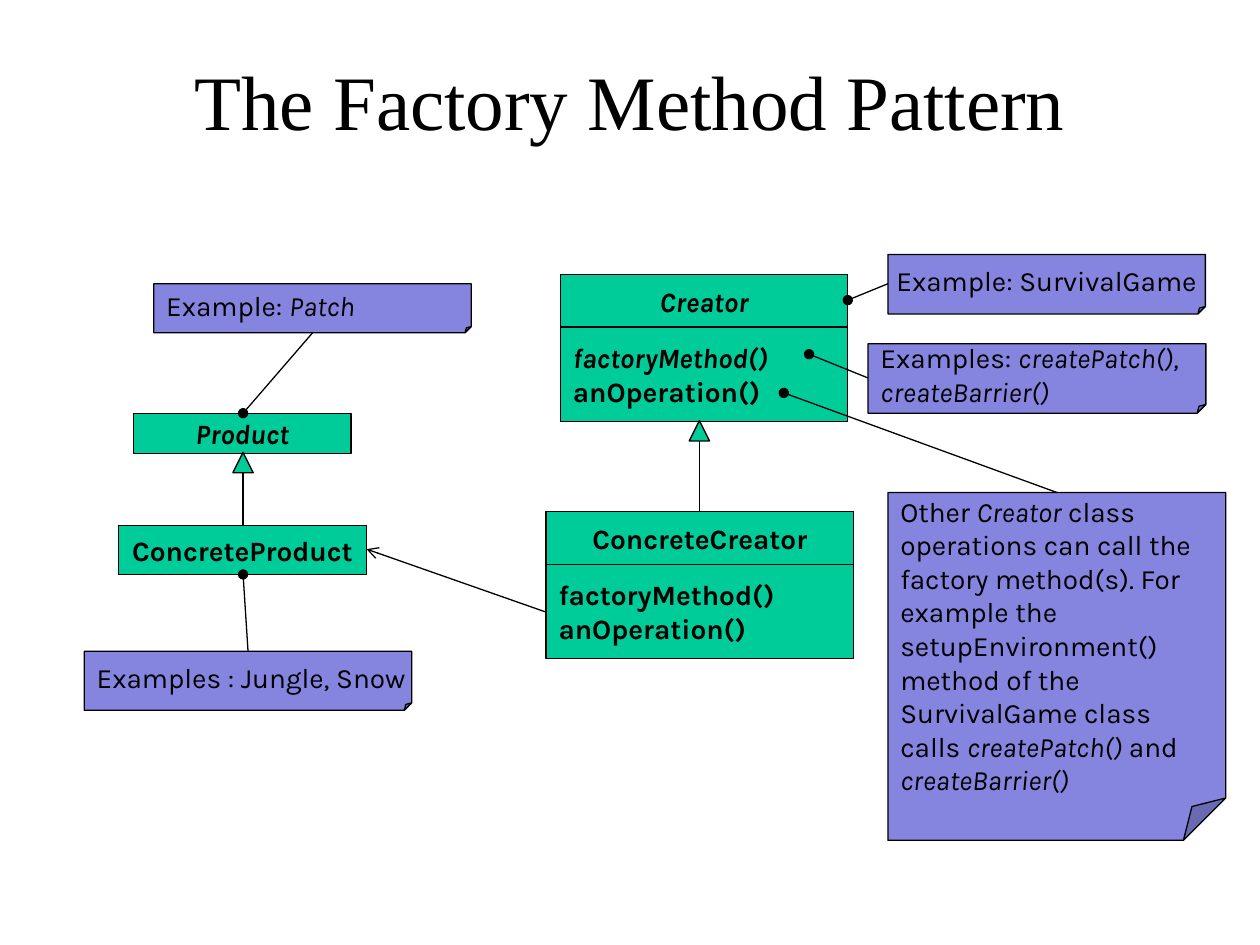
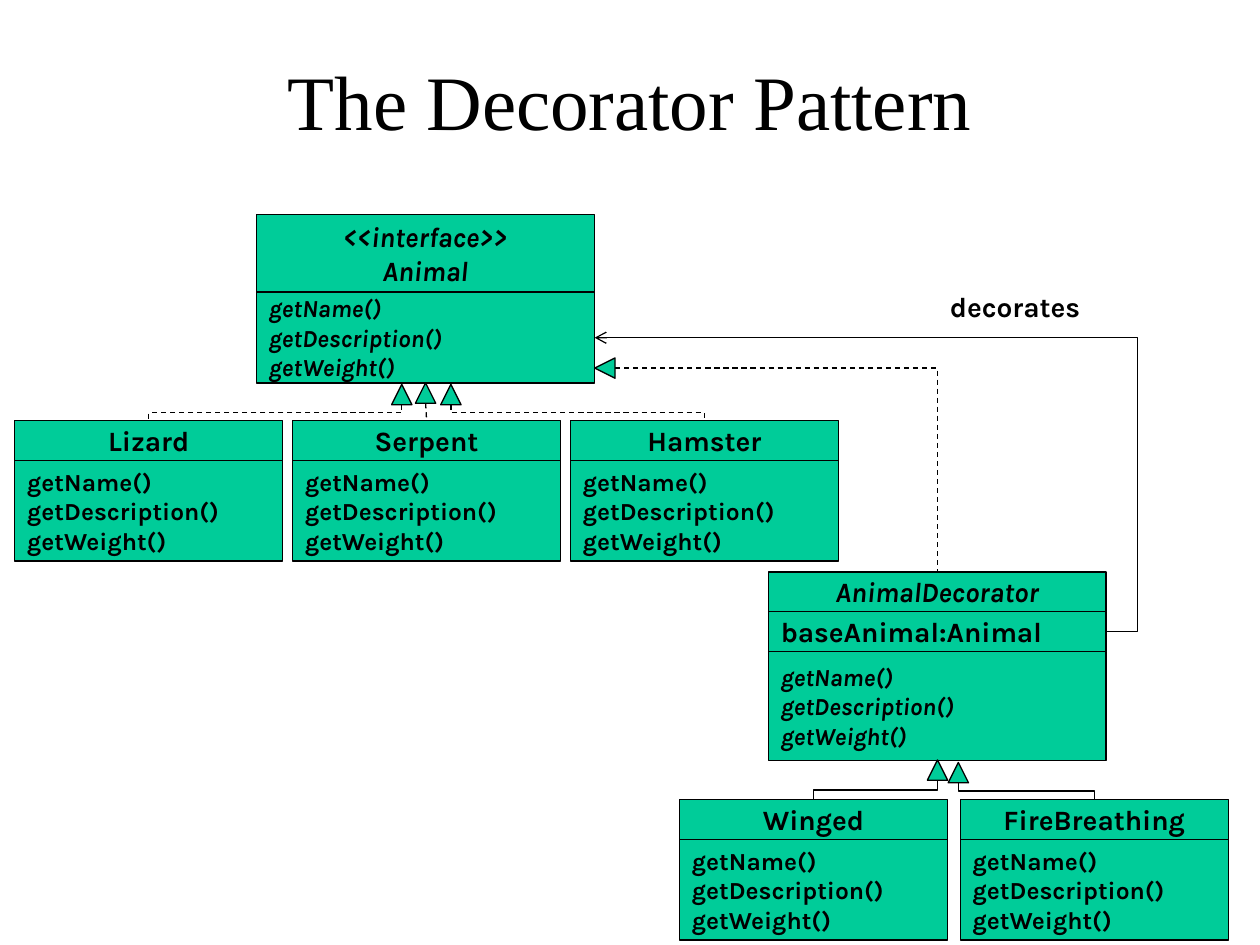
import pptx
import pptx.util
import pptx.dml.color
import pptx.enum.dml
import pptx.enum.shapes
import pptx.enum.text
import pptx.oxml
import pptx.oxml.ns

Cm = pptx.util.Cm
Pt = pptx.util.Pt
SHAPE = pptx.enum.shapes.MSO_SHAPE
CONNECTOR = pptx.enum.shapes.MSO_CONNECTOR
ALIGN = pptx.enum.text.PP_ALIGN
ANCHOR = pptx.enum.text.MSO_ANCHOR

BLACK = pptx.dml.color.RGBColor(0x00, 0x00, 0x00)
CLASS_GREEN = pptx.dml.color.RGBColor(0x00, 0xCC, 0x99)
NOTE_VIOLET = pptx.dml.color.RGBColor(0x85, 0x85, 0xE0)
TITLE_FONT, BODY_FONT = "Times New Roman", "Karla"
LINE_WIDTH = Pt(0.75)
TRIANGLE = 0.41

# Content: lengths in centimetres, *asterisks* mark italics
OPERATIONS = ["factoryMethod()", "anOperation()"]
GETTERS = ["getName()", "getDescription()", "getWeight()"]
ABSTRACT_GETTERS = [f"*{getter}*" for getter in GETTERS]

# Class: left, top, width, compartments of (height, text size, lines)
FACTORY_CLASSES = [
    (11.3, 5.54, 5.79, [(1.05, 16, ["*Creator*"]),
                        (1.91, 16, ["*factoryMethod()*", "anOperation()"])]),
    (11.01, 10.31, 6.2, [(1.07, 16, ["ConcreteCreator"]), (1.9, 16, OPERATIONS)]),
    (2.69, 8.33, 4.39, [(0.81, 16, ["*Product*"])]),
    (2.39, 10.59, 5.0, [(0.99, 16, ["ConcreteProduct"])]),
]
# Inheritance: apex of the triangle, top of the subclass
FACTORY_INHERITANCE = [((4.9, 9.12), (4.9, 10.59)), ((14.1, 8.48), (14.1, 10.31))]
CREATES_ARROW = ((11.01, 12.34), (7.39, 11.07))

# Note: box, alignment, wrap, lines, dot on the class, end of the line at the note
FACTORY_NOTES = [
    ((17.9, 5.13, 6.4, 1.2), ALIGN.CENTER, False, ["Example: SurvivalGame"],
     (17.09, 6.05), (17.9, 5.72)),
    ((17.5, 6.93, 6.81, 1.4), ALIGN.LEFT, False,
     ["Examples: *createPatch(),*", "*createBarrier()*"], (16.31, 7.14), (17.5, 7.62)),
    ((17.9, 9.93, 6.81, 7.01), ALIGN.LEFT, True,
     ["Other *Creator* class operations can call the factory method(s). For example the "
      "setupEnvironment() method of the SurvivalGame class calls *createPatch()* and "
      "*createBarrier()*"], (15.8, 7.92), (21.31, 9.93)),
    ((3.1, 5.72, 6.4, 0.99), ALIGN.LEFT, False, ["Example: *Patch*"],
     (4.9, 8.33), (6.3, 6.71)),
    ((1.7, 13.13, 6.6, 1.19), ALIGN.LEFT, False, ["Examples : Jungle, Snow"],
     (4.9, 11.58), (5.0, 13.13)),
]

DECORATOR_CLASSES = [
    (5.17, 4.32, 6.81, [(1.57, 16, ["*<<interface>>*", "*Animal*"]),
                        (1.83, 14, ABSTRACT_GETTERS)]),
    (15.49, 11.53, 6.81, [(0.8, 16, ["*AnimalDecorator*"]),
                          (0.8, 16, ["baseAnimal:Animal"]),
                          (2.2, 14, ABSTRACT_GETTERS)]),
]
# Row of subclasses: left, top, pitch, dashed, pairs of name and triangle apex
SUBCLASS_WIDTH = 5.4
SUBCLASS_ROWS = [
    (0.3, 8.48, 5.6, True, [("Lizard", (8.1, 7.75)), ("Serpent", (8.58, 7.72)),
                            ("Hamster", (9.09, 7.75))]),
    (13.7, 16.12, 5.66, False, [("Winged", (18.9, 15.32)),
                                ("FireBreathing", (19.32, 15.37))]),
]
DECORATES_ARROW = ((22.3, 12.73), (11.99, 6.81))
DECORATES_LABEL = ("decorates", (18.9, 5.72, 3.81, 0.94))
DECORATOR_TIP = (11.99, 7.42)
DECORATOR_TOP = (18.9, 11.53)


# Text
def write(frame, lines, size, align, bold=False, wrap=False):
    frame.word_wrap = wrap
    for index, line in enumerate(lines):
        para = frame.paragraphs[0] if index == 0 else frame.add_paragraph()
        para.alignment = align
        font = para.font
        font.name, font.size, font.bold = BODY_FONT, Pt(size), bold
        font.color.rgb = BLACK
        spans = [(text, place % 2 == 1)
                 for place, text in enumerate(line.split("*")) if text]
        if len(spans) == 1:
            font.italic = spans[0][1]
        for text, italic in spans:
            span = para.add_run()
            span.text = text
            if len(spans) > 1:
                span.font.italic = italic


# Shapes
def add_box(page, kind, box, fill):
    shape = page.shapes.add_shape(kind, *map(Cm, box))
    shape.shadow.inherit = False
    shape.fill.solid()
    shape.fill.fore_color.rgb = fill
    shape.line.color.rgb = BLACK
    shape.line.width = LINE_WIDTH
    shape.text_frame.vertical_anchor = ANCHOR.MIDDLE
    return shape


def set_guide(shape, name, value):
    guides = shape._element.spPr.prstGeom.get_or_add_avLst()
    guides.append(guides.makeelement(pptx.oxml.ns.qn("a:gd"),
                                     {"name": name, "fmla": f"val {value}"}))


def add_class(page, left, top, width, compartments):
    for index, (height, size, lines) in enumerate(compartments):
        box = add_box(page, SHAPE.RECTANGLE, (left, top, width, height), CLASS_GREEN)
        align = ALIGN.LEFT if index else ALIGN.CENTER
        write(box.text_frame, lines, size, align, bold=True)
        top += height


def add_triangle(page, left, top, rotation=0):
    shape = add_box(page, SHAPE.ISOSCELES_TRIANGLE, (left, top, TRIANGLE, TRIANGLE),
                    CLASS_GREEN)
    shape.rotation = rotation


# Lines
def add_line(page, start, end, kind=CONNECTOR.STRAIGHT, dashed=False, head=None, tail=None):
    line = page.shapes.add_connector(kind, *map(Cm, start + end))
    line.line.color.rgb = BLACK
    line.line.width = LINE_WIDTH
    if dashed:
        line.line.dash_style = pptx.enum.dml.MSO_LINE.DASH
    outline = line.line._get_or_add_ln()
    for tag, ending in (("a:headEnd", head), ("a:tailEnd", tail)):
        if ending:
            mark = pptx.oxml.ns.qn(tag)
            outline.append(outline.makeelement(mark, {"type": ending}))
    properties = line._element.spPr
    properties.append(properties.makeelement(pptx.oxml.ns.qn("a:effectLst"), {}))
    return line


def add_vertical_elbow(page, start, end, dashed):
    """Elbow that leaves downwards: a sideways elbow turned about its centre."""
    (x1, y1), (x2, y2) = start, end
    side = 1 if x2 > x1 else -1
    middle_x, middle_y = (x1 + x2) / 2, (y1 + y2) / 2
    half_width, half_height = side * (y2 - y1) / 2, abs(x2 - x1) / 2
    line = add_line(page, (middle_x + half_width, middle_y - half_height),
                    (middle_x - half_width, middle_y + half_height),
                    CONNECTOR.ELBOW, dashed)
    xfrm = line._element.spPr.find(pptx.oxml.ns.qn("a:xfrm"))
    xfrm.set("rot", str((270 if side > 0 else 90) * 60000))


def add_inheritance(page, apex, child, dashed=False):
    x, y = apex
    base = (x, y + TRIANGLE)
    if abs(x - child[0]) < 0.1:
        add_line(page, base, child, dashed=dashed)
    else:
        add_vertical_elbow(page, base, child, dashed)
    add_triangle(page, x - TRIANGLE / 2, y)


# Slides
def add_page(deck, title):
    page = deck.slides.add_slide(deck.slide_layouts[5])
    holder = page.shapes.title
    holder.left, holder.top, holder.width, holder.height = map(Cm, (1.27, 0.76, 22.86, 3.18))
    frame = holder.text_frame
    frame.text = title
    frame.vertical_anchor = ANCHOR.TOP
    frame.margin_top = Cm(0.32)
    para = frame.paragraphs[0]
    para.alignment = ALIGN.CENTER
    para.font.name, para.font.size = TITLE_FONT, Pt(44)
    para.font.color.rgb = BLACK
    return page


def build_factory(deck):
    page = add_page(deck, "The Factory Method Pattern")
    for item in FACTORY_CLASSES:
        add_class(page, *item)
    for apex, child in FACTORY_INHERITANCE:
        add_inheritance(page, apex, child)
    add_line(page, *CREATES_ARROW, tail="arrow")
    for box, align, wrap, lines, dot, end in FACTORY_NOTES:
        note = add_box(page, SHAPE.FOLDED_CORNER, box, NOTE_VIOLET)
        set_guide(note, "adj", 12500)
        write(note.text_frame, lines, 16, align, wrap=wrap)
        add_line(page, dot, end, head="oval")


def build_decorator(deck):
    page = add_page(deck, "The Decorator Pattern")
    for item in DECORATOR_CLASSES:
        add_class(page, *item)
    for left, top, pitch, dashed, children in SUBCLASS_ROWS:
        for index, (name, apex) in enumerate(children):
            x = left + index * pitch
            add_class(page, x, top, SUBCLASS_WIDTH, [(0.81, 16, [name]), (2.02, 14, GETTERS)])
            add_inheritance(page, apex, (x + SUBCLASS_WIDTH / 2, top), dashed)

    # Decorator implements the interface
    tip_x, tip_y = DECORATOR_TIP
    line = add_line(page, (tip_x + TRIANGLE, tip_y), DECORATOR_TOP, CONNECTOR.ELBOW, True)
    line._element.spPr.prstGeom.set("prst", "bentConnector2")
    add_triangle(page, tip_x, tip_y - TRIANGLE / 2, 270)

    # Decorator holds the decorated animal
    line = add_line(page, *DECORATES_ARROW, CONNECTOR.ELBOW, tail="arrow")
    set_guide(line, "adj1", -6200)
    text, box = DECORATES_LABEL
    label = page.shapes.add_textbox(*map(Cm, box))
    write(label.text_frame, [text], 16, ALIGN.LEFT, bold=True, wrap=True)


def main():
    deck = pptx.Presentation()
    deck.slide_width, deck.slide_height = Cm(25.4), Cm(19.05)
    build_factory(deck)
    build_decorator(deck)
    deck.save("out.pptx")


if __name__ == "__main__":
    main()
